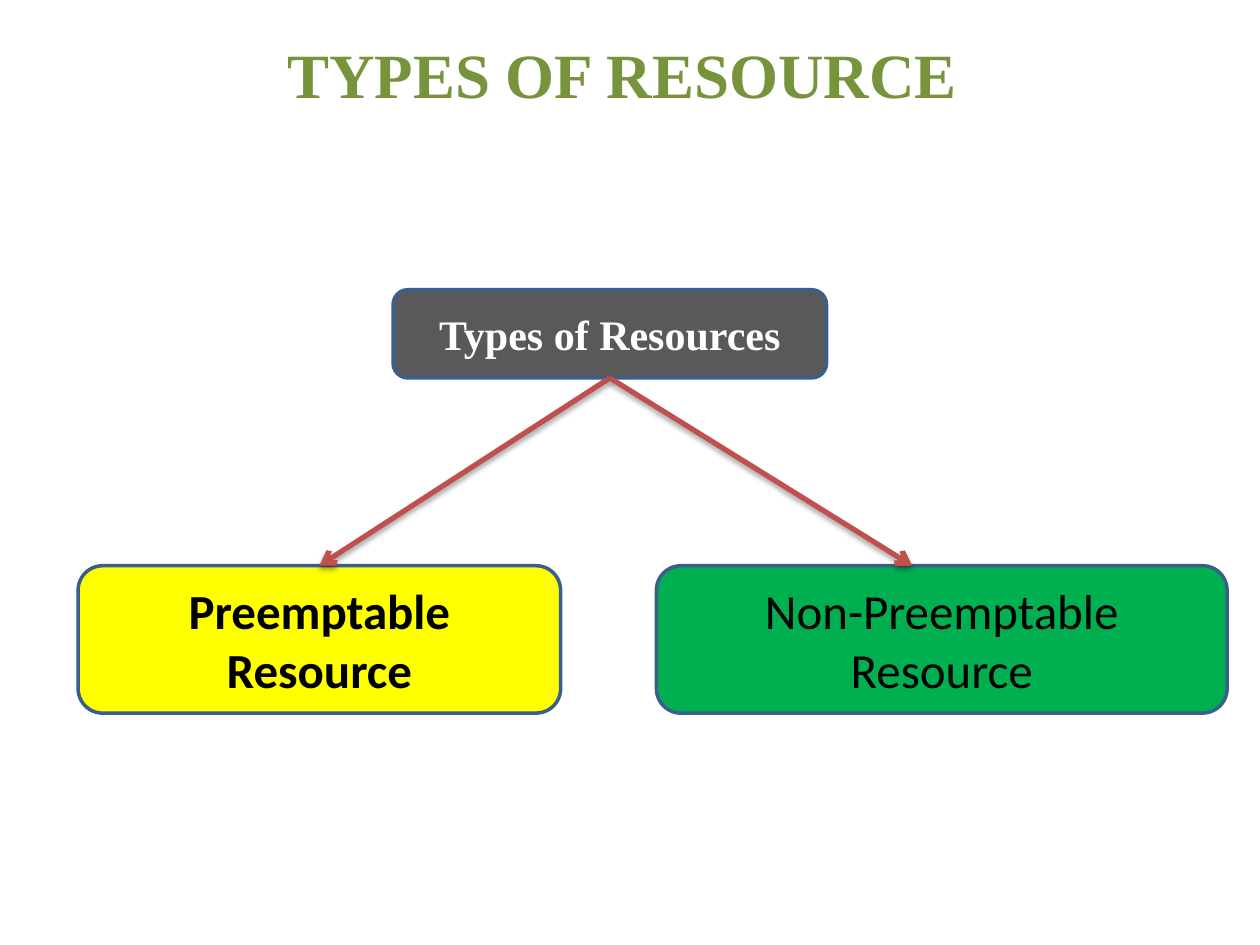
from dataclasses import dataclass
from typing import Optional

from lxml.etree import SubElement
from pptx import Presentation
from pptx.dml.color import RGBColor
from pptx.enum.shapes import MSO_CONNECTOR as Link, MSO_SHAPE as Kind
from pptx.enum.text import MSO_ANCHOR as Anchor, PP_ALIGN as Align
from pptx.oxml.ns import qn
from pptx.shapes.autoshape import Shape
from pptx.slide import Slide
from pptx.text.text import TextFrame
from pptx.util import Inches, Pt

WHITE = RGBColor(0xFF, 0xFF, 0xFF)
BLACK = RGBColor(0x00, 0x00, 0x00)
OLIVE = RGBColor(0x77, 0x93, 0x3C)
GRAY = RGBColor(0x59, 0x59, 0x59)
YELLOW = RGBColor(0xFF, 0xFF, 0x00)
GREEN = RGBColor(0x00, 0xB0, 0x50)
BLUE = RGBColor(0x3A, 0x5F, 0x8C)
RED = RGBColor(0xC0, 0x50, 0x4D)
SERIF, SANS = "Times New Roman", "Calibri"


@dataclass
class Style:
    font: str
    size: int
    color: RGBColor
    bold: bool = True


@dataclass
class Box:
    text: str
    left: float
    top: float
    width: float
    height: float
    fill: RGBColor
    style: Style


ROOT = Box("Types of Resources", 3.12, 2.3, 3.44, 0.7, GRAY,
           Style(SERIF, 24, WHITE))
LEFT = Box("Preemptable Resource", 0.62, 4.49, 3.83, 1.17, YELLOW,
           Style(SANS, 28, BLACK))
RIGHT = Box("Non-Preemptable Resource", 5.21, 4.49, 4.53, 1.17, GREEN,
            Style(SANS, 28, BLACK, False))


def write(frame: TextFrame, text: str, style: Style) -> None:
    frame.word_wrap = True
    frame.vertical_anchor = Anchor.MIDDLE
    para = frame.paragraphs[0]
    para.alignment = Align.CENTER
    run = para.add_run()
    run.text = text
    font = run.font
    font.name, font.size, font.bold = style.font, Pt(style.size), style.bold
    font.color.rgb = style.color


def draw_box(slide: Slide, box: Box) -> Shape:
    shape = slide.shapes.add_shape(
        Kind.ROUNDED_RECTANGLE, Inches(box.left), Inches(box.top),
        Inches(box.width), Inches(box.height))
    shape.shadow.inherit = False
    shape.fill.solid()
    shape.fill.fore_color.rgb = box.fill
    shape.line.color.rgb = BLUE
    shape.line.width = Pt(2)
    write(shape.text_frame, box.text, box.style)
    return shape


def draw_arrow(slide: Slide, root: Shape, child: Shape,
               end: Optional[float] = None) -> None:
    """Point from root to the child's top middle, or to x = end on its top."""
    tip = child.left + child.width // 2 if end is None else Inches(end)
    arrow = slide.shapes.add_connector(
        Link.STRAIGHT, root.left + root.width // 2, root.top + root.height,
        tip, child.top)
    arrow.begin_connect(root, 2)
    if end is None:
        arrow.end_connect(child, 0)
    arrow.line.color.rgb = RED
    arrow.line.width = Pt(3)
    SubElement(arrow.line._get_or_add_ln(), qn("a:tailEnd"), type="arrow")
    effects = SubElement(arrow._element.spPr, qn("a:effectLst"))
    shade = SubElement(effects, qn("a:outerShdw"), blurRad=str(Pt(3.1)),
                       dist=str(Pt(1.8)), dir="5400000", rotWithShape="0")
    color = SubElement(shade, qn("a:srgbClr"), val=str(BLACK))
    SubElement(color, qn("a:alpha"), val="35000")


def main() -> None:
    deck = Presentation()
    deck.slide_width, deck.slide_height = Inches(10), Inches(7.5)
    slide = deck.slides.add_slide(deck.slide_layouts[5])

    title = slide.shapes.title
    title.left, title.top = Inches(0), Inches(0)
    title.width, title.height = Inches(10), Inches(1.17)
    write(title.text_frame, "TYPES OF RESOURCE ", Style(SERIF, 36, OLIVE))

    root, left, right = (draw_box(slide, box) for box in (ROOT, LEFT, RIGHT))
    draw_arrow(slide, root, left)
    draw_arrow(slide, root, right, end=7.24)
    deck.save("out.pptx")


if __name__ == "__main__":
    main()
